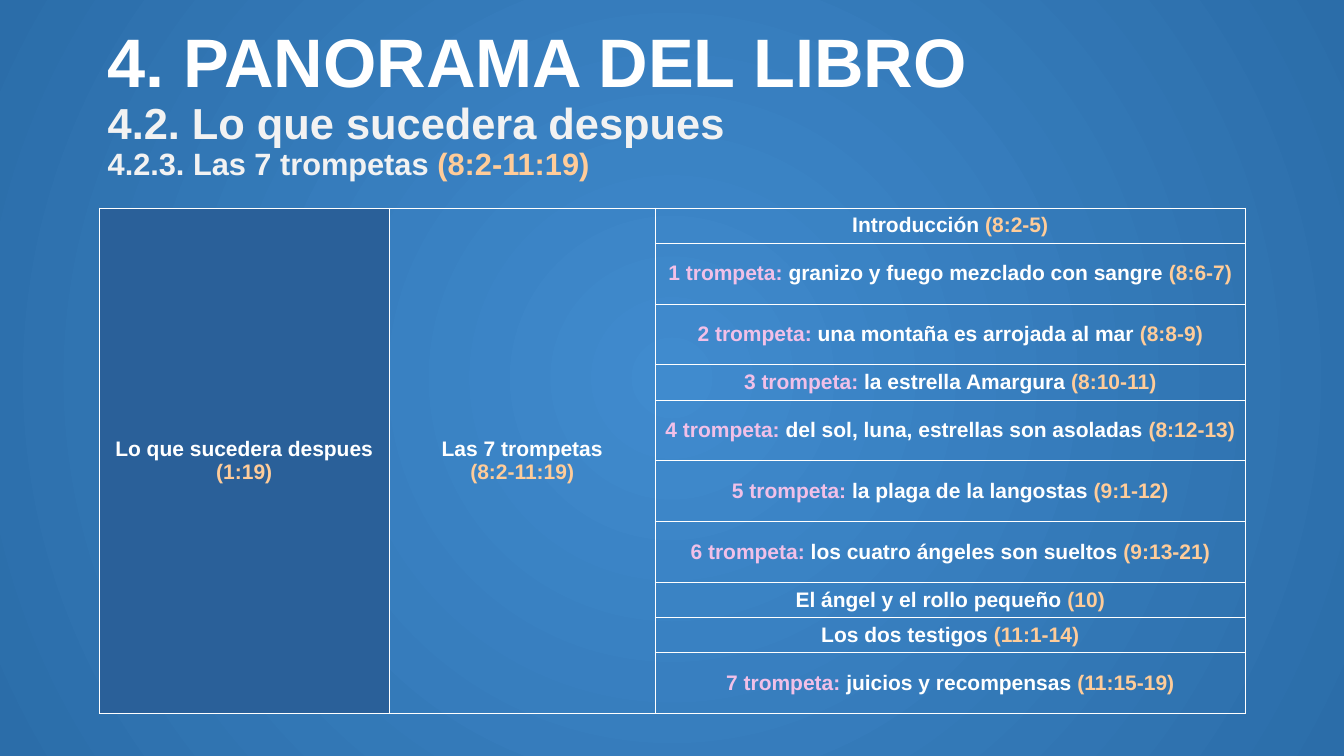
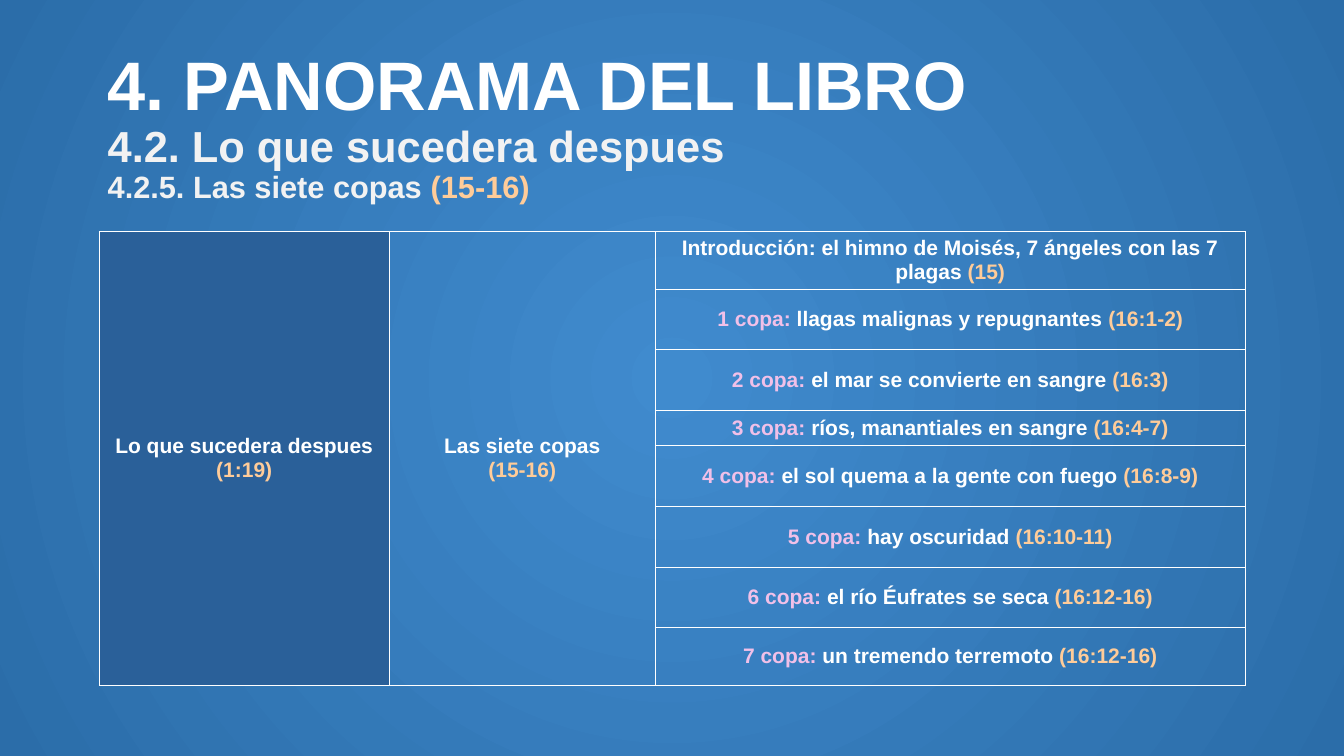
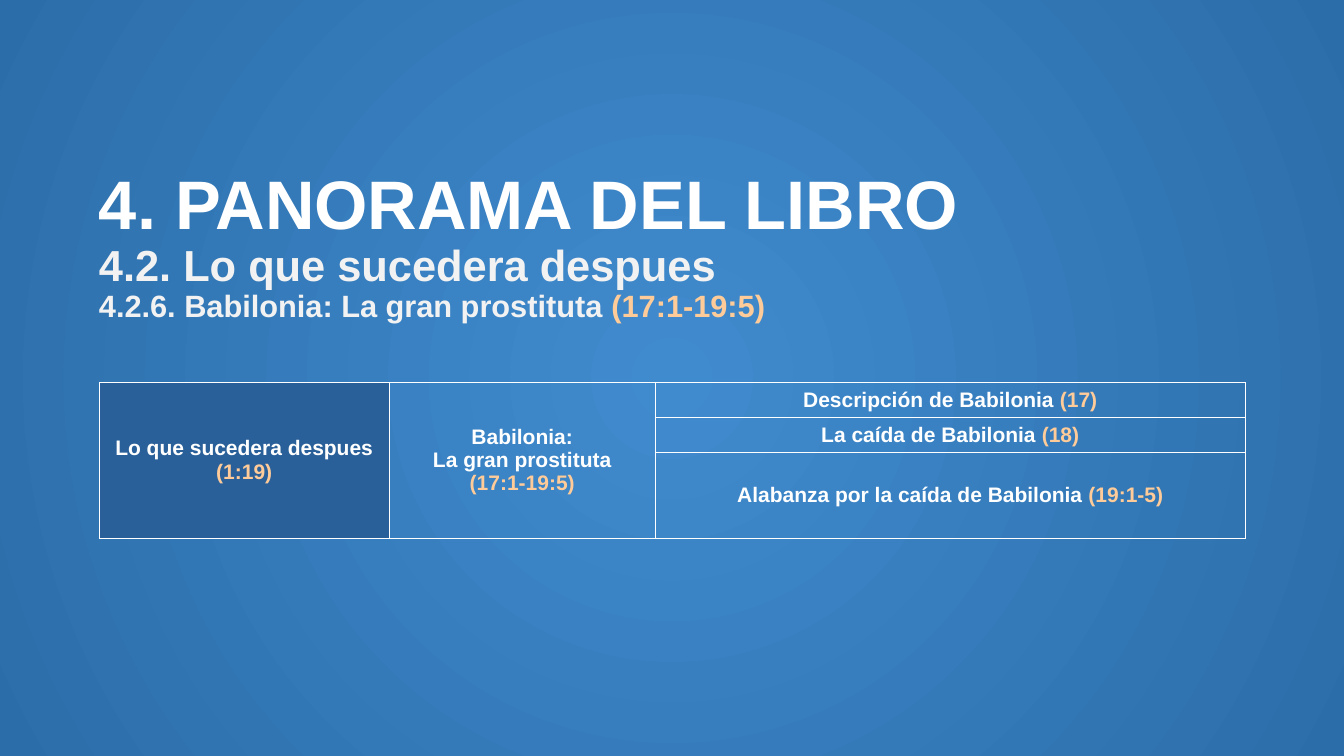
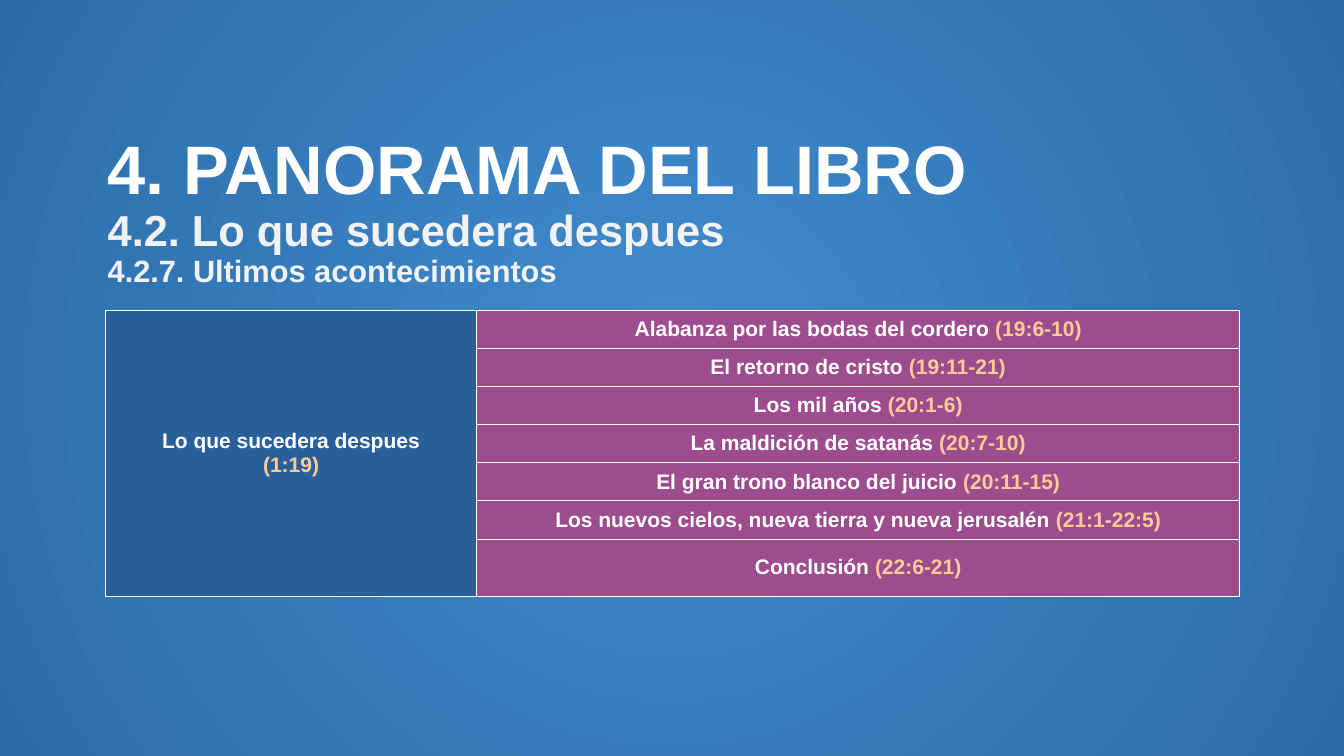
from lxml import etree
from pptx import Presentation
from pptx.dml.color import RGBColor
from pptx.enum.text import MSO_ANCHOR, MSO_AUTO_SIZE, PP_ALIGN
from pptx.oxml.ns import qn
from pptx.util import Cm, Pt

COLORS = {
    "center": "408BCE", "edge": "2B6DA9", "white": "FFFFFF", "soft": "F2F2F2",
    "reference": "FFCC99", "number": "F1C0E8", "navy": "2A6099", "plum": "9D4C8E",
}
FONT = "Arial"
BOOK_TITLE = "4. PANORAMA DEL LIBRO"
PART = "Lo que sucedera despues"
PART_CELL = f"{PART}\n(1:19)"
LOW, HIGH = 0.89, 1.53
THREE_COLS = [7.31, 6.7, 14.87]

SLIDES = [
    dict(
        heading="4.2.3. Las 7 trompetas (8:2-11:19)", title_at=(2.46, 0.51),
        table_at=(2.5, 5.24), cols=THREE_COLS,
        groups=[PART_CELL, "Las 7 trompetas\n(8:2-11:19)"],
        rows=[
            (LOW, "Introducción (8:2-5)"),
            (HIGH, "1 trompeta: granizo y fuego mezclado con sangre (8:6-7)"),
            (HIGH, "2 trompeta: una montaña es arrojada al mar (8:8-9)"),
            (LOW, "3 trompeta: la estrella Amargura (8:10-11)"),
            (HIGH, "4 trompeta: del sol, luna, estrellas son asoladas (8:12-13)"),
            (HIGH, "5 trompeta: la plaga de la langostas (9:1-12)"),
            (HIGH, "6 trompeta: los cuatro ángeles son sueltos (9:13-21)"),
            (LOW, "El ángel y el rollo pequeño (10)"),
            (LOW, "Los dos testigos (11:1-14)"),
            (HIGH, "7 trompeta: juicios y recompensas (11:15-19)"),
        ],
    ),
    dict(
        heading="4.2.5. Las siete copas (15-16)", title_at=(2.46, 1.09),
        table_at=(2.5, 5.84), cols=THREE_COLS,
        groups=[PART_CELL, "Las siete copas\n(15-16)"],
        rows=[
            (1.44, "Introducción: el himno de Moisés, 7 ángeles con las 7 plagas (15)"),
            (HIGH, "1 copa: llagas malignas y repugnantes (16:1-2)"),
            (HIGH, "2 copa: el mar se convierte en sangre (16:3)"),
            (LOW, "3 copa: ríos, manantiales en sangre (16:4-7)"),
            (HIGH, "4 copa: el sol quema a la gente con fuego (16:8-9)"),
            (HIGH, "5 copa: hay oscuridad (16:10-11)"),
            (HIGH, "6 copa: el río Éufrates se seca (16:12-16)"),
            (1.44, "7 copa: un tremendo terremoto (16:12-16)"),
        ],
    ),
    dict(
        heading="4.2.6. Babilonia: La gran prostituta (17:1-19:5)",
        title_at=(2.24, 4.09), table_at=(2.5, 9.63), cols=THREE_COLS,
        groups=[PART_CELL, "Babilonia:\nLa gran prostituta\n(17:1-19:5)"],
        rows=[
            (LOW, "Descripción de Babilonia (17)"),
            (LOW, "La caída de Babilonia (18)"),
            (2.15, "Alabanza por la caída de Babilonia (19:1-5)"),
        ],
    ),
    dict(
        heading="4.2.7. Ultimos acontecimientos", title_at=(2.46, 3.2),
        table_at=(2.66, 7.82), cols=[9.35, 19.23], groups=[PART_CELL],
        row_fill="plum",
        rows=[
            (0.96, "Alabanza por las bodas del cordero (19:6-10)"),
            (0.96, "El retorno de cristo (19:11-21)"),
            (0.96, "Los mil años (20:1-6)"),
            (0.96, "La maldición de satanás (20:7-10)"),
            (0.96, "El gran trono blanco del juicio (20:11-15)"),
            (0.96, "Los nuevos cielos, nueva tierra y nueva jerusalén (21:1-22:5)"),
            (1.44, "Conclusión (22:6-21)"),
        ],
    ),
]


def rgb(name):
    return RGBColor.from_string(COLORS[name])


class Deck:
    def __init__(self):
        self.prs = Presentation()
        self.prs.slide_width, self.prs.slide_height = Cm(33.87), Cm(19.05)
        self.slide = None
        self.paint_master()

    def paint_master(self):
        """Give every slide a circular gradient, lightest in the centre."""
        master = self.prs.slide_master
        fill = master.background.fill
        fill.gradient()
        for stop, name in zip(fill.gradient_stops, ("center", "edge")):
            stop.color.rgb = rgb(name)
        grad = master.element.find(f".//{qn('p:bg')}//{qn('a:gradFill')}")
        grad.remove(grad.find(qn("a:lin")))
        ring = etree.SubElement(grad, qn("a:path"), path="circle")
        etree.SubElement(ring, qn("a:fillToRect"),
                         {side: "50000" for side in "ltrb"})

    def add_slide(self):
        self.slide = self.prs.slides.add_slide(self.prs.slide_layouts[5])

    def add_runs(self, p, line, size, color="white", numbered=False):
        """Fill p with a line, colouring its (reference) and, if numbered, its 'N name:'."""
        body, bracket, ref = line.partition("(")
        pieces = [(body, color), (bracket + ref, "reference")]
        if numbered and body[:1].isdigit():
            label, colon, rest = body.partition(":")
            pieces[:1] = [(label + colon, "number"), (rest, color)]
        for text, name in pieces:
            if text:
                r = p.add_run()
                r.text = text
                r.font.name, r.font.size, r.font.bold = FONT, Pt(size), True
                r.font.color.rgb = rgb(name)

    def title(self, heading, left, top):
        sp = self.slide.shapes.title
        sp.left, sp.top, sp.width, sp.height = Cm(left), Cm(top), Cm(28.96), Cm(4.29)
        tf = sp.text_frame
        tf.word_wrap, tf.auto_size = True, MSO_AUTO_SIZE.NONE
        tf.vertical_anchor = MSO_ANCHOR.MIDDLE
        lines = [(BOOK_TITLE, 49, "white"), (f"4.2. {PART}", 31, "soft"),
                 (heading, 22, "soft")]
        for i, (line, size, color) in enumerate(lines):
            p = tf.add_paragraph() if i else tf.paragraphs[0]
            p.alignment, p.line_spacing = PP_ALIGN.LEFT, 0.9
            self.add_runs(p, line, size, color)

    def border(self, cell):
        tc_pr = cell._tc.get_or_add_tcPr()
        for i, side in enumerate("LRTB"):
            ln = etree.Element(qn(f"a:ln{side}"), w=str(Pt(0.57)))
            fill = etree.SubElement(ln, qn("a:solidFill"))
            etree.SubElement(fill, qn("a:srgbClr"), val=COLORS["white"])
            tc_pr.insert(i, ln)

    def style_cell(self, cell, fill):
        cell.margin_left = cell.margin_right = Cm(0.1)
        cell.margin_top = cell.margin_bottom = Cm(0.13)
        cell.vertical_anchor = MSO_ANCHOR.MIDDLE
        if fill:
            cell.fill.solid()
            cell.fill.fore_color.rgb = rgb(fill)
        else:
            cell.fill.background()
        self.border(cell)

    def cell_text(self, cell, text):
        tf = cell.text_frame
        for i, line in enumerate(text.split("\n")):
            p = tf.add_paragraph() if i else tf.paragraphs[0]
            p.alignment = PP_ALIGN.CENTER
            self.add_runs(p, line, 15, numbered=True)

    def outline_table(self, at, cols, groups, rows, row_fill=None):
        """Draw the group columns, each one merged cell, beside the list of rows."""
        left, top = at
        height = sum(h for h, _ in rows)
        table = self.slide.shapes.add_table(
            len(rows), len(cols), Cm(left), Cm(top), Cm(sum(cols)), Cm(height)).table
        table.first_row = table.horz_banding = False
        for col, width in zip(table.columns, cols):
            col.width = Cm(width)
        fills = ["navy"] + [None] * (len(groups) - 1) + [row_fill]
        for i, (height, text) in enumerate(rows):
            table.rows[i].height = Cm(height)
            for j, fill in enumerate(fills):
                self.style_cell(table.cell(i, j), fill)
            self.cell_text(table.cell(i, len(groups)), text)
        for j, text in enumerate(groups):
            table.cell(0, j).merge(table.cell(len(rows) - 1, j))
            self.cell_text(table.cell(0, j), text)


def main():
    deck = Deck()
    for content in SLIDES:
        deck.add_slide()
        deck.title(content["heading"], *content["title_at"])
        deck.outline_table(content["table_at"], content["cols"], content["groups"],
                           content["rows"], content.get("row_fill"))
    deck.prs.save("out.pptx")


if __name__ == "__main__":
    main()
